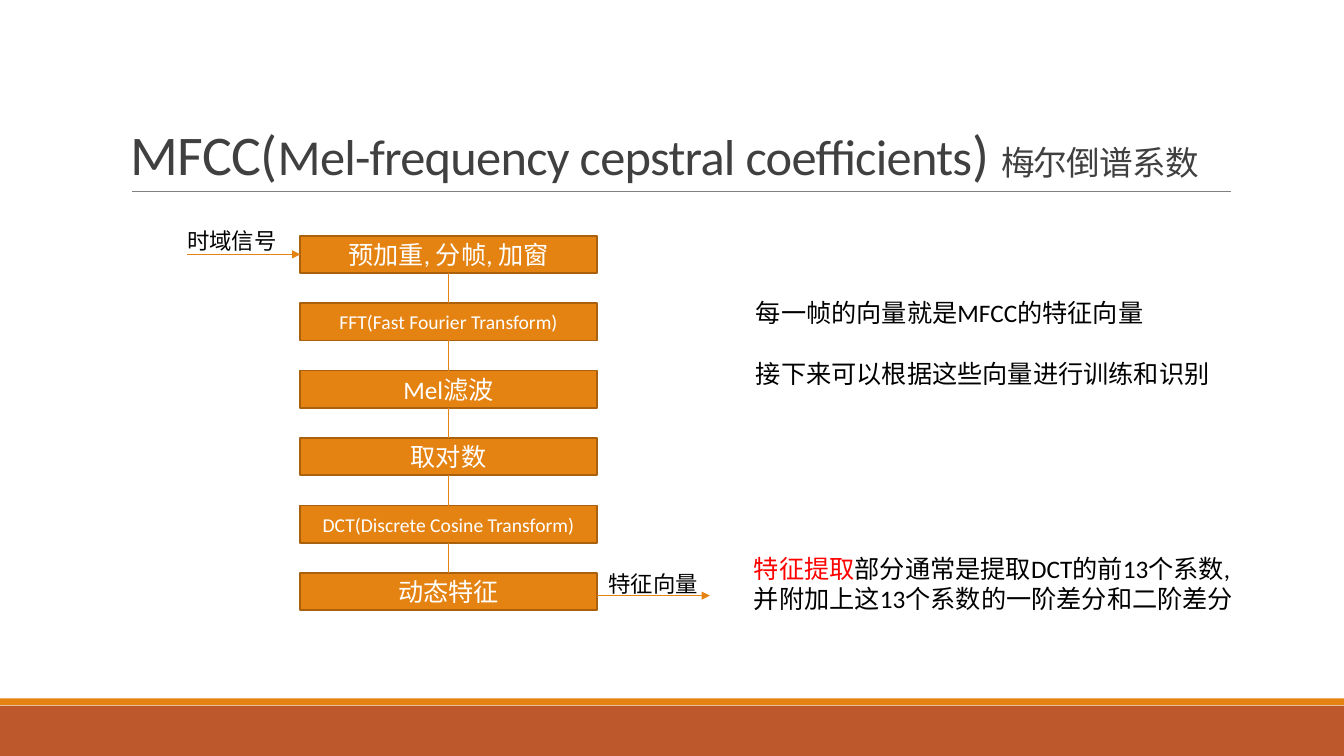
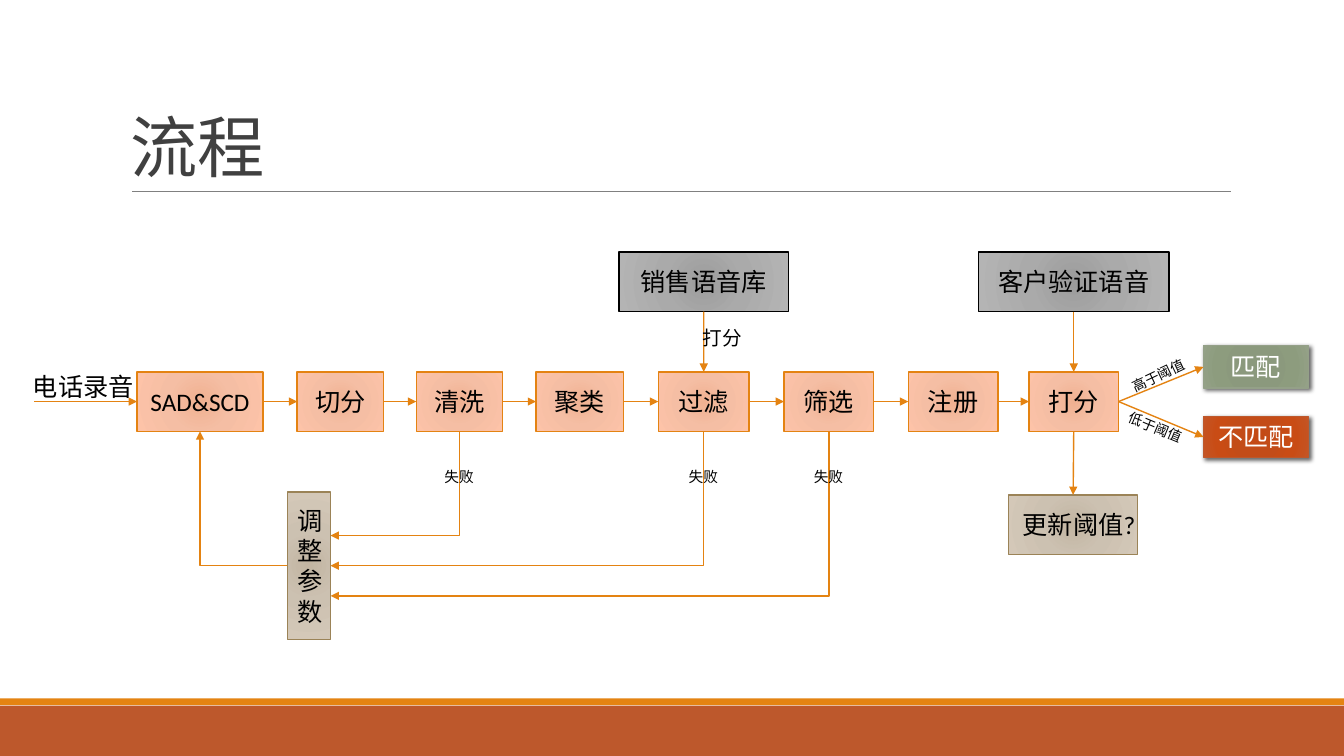
from lxml import etree
from pptx import Presentation
from pptx import util as u
from pptx.dml import color as dml
from pptx.enum import shapes, text
from pptx.oxml import ns, parse_xml

FONT = "Calibri"
ORANGE, RUST, BROWN, GREY = "E48312", "BD582C", "A9610D", "808080"
INK, BLACK, WHITE, RED = "404040", "000000", "FFFFFF", "FF0000"
# Gradient stops as (percent, colour), and the outline that goes with them
PEACH = [(0, "F0B191"), (45, "F5BEA4"), (100, "FDC3A8")], ORANGE
SILVER = [(0, "9C9C9C"), (45, "AAAAAA"), (100, "B4B4B4")], BLACK
SAND = [(0, "C2B5A2"), (45, "CCC1B1"), (100, "D4C8B8")], "9B8357"
GREEN = [(0, "8A987B"), (34, "8B997D"), (70, "8D9C7E"), (100, "94A187")], "94A088"
FLAME = [(0, "C44A15"), (34, "C34C18"), (70, "C94C15"), (100, "C45525")], RUST
TOP, LEFT, BOTTOM, RIGHT = range(4)  # connection sites of a rectangle


def paint(target, value):
    """Give a colour format its hex colour."""
    target.rgb = dml.RGBColor.from_string(value)


def cm(*lengths):
    return [u.Cm(length) for length in lengths]


def write(paragraph, words, size=18, color=BLACK, tracking=None):
    run = paragraph.add_run()
    run.text = words
    run.font.name = FONT
    run.font.size = u.Pt(size)
    paint(run.font.color, color)
    if tracking is not None:
        run.font._element.set("spc", str(tracking))


def label(slide, box, *paragraphs, wrap=False, align=None, gap=0, angle=0, **fmt):
    """Text box; each paragraph is a string or a list of (words, format)."""
    area = slide.shapes.add_textbox(*cm(*box))
    area.rotation = angle
    frame = area.text_frame
    frame.word_wrap = wrap
    frame.auto_size = text.MSO_AUTO_SIZE.SHAPE_TO_FIT_TEXT
    for i, content in enumerate(paragraphs):
        paragraph = frame.add_paragraph() if i else frame.paragraphs[0]
        paragraph.alignment = align
        if i and gap:
            paragraph.space_before = u.Pt(gap)
        runs = [(content, {})] if isinstance(content, str) else content
        for words, own in runs:
            write(paragraph, words, **{**fmt, **own})
    return frame


def block(slide, box, words="", fill=ORANGE, line=None, weight=1, **fmt):
    """Rectangle with centred text; fill is a colour or a list of stops."""
    rect = slide.shapes.add_shape(shapes.MSO_SHAPE.RECTANGLE, *cm(*box))
    rect.shadow.inherit = False
    rect.fill.solid()
    if isinstance(fill, str):
        paint(rect.fill.fore_color, fill)
    else:
        stops = "".join(f'<a:gs pos="{pos * 1000}"><a:srgbClr val="{value}"/></a:gs>'
                        for pos, value in fill)
        solid = rect.element.spPr.find(ns.qn("a:solidFill"))
        solid.getparent().replace(solid, parse_xml(
            f'<a:gradFill {ns.nsdecls("a")} rotWithShape="1"><a:gsLst>{stops}</a:gsLst>'
            '<a:path path="circle"><a:fillToRect l="100000" t="100000" r="100000"'
            ' b="100000"/></a:path></a:gradFill>'))
    if line:
        paint(rect.line.color, line)
        rect.line.width = u.Pt(weight)
    else:
        rect.line.fill.background()
    if words:
        frame = rect.text_frame
        frame.word_wrap = True
        frame.vertical_anchor = text.MSO_ANCHOR.MIDDLE
        frame.paragraphs[0].alignment = text.PP_ALIGN.CENTER
        write(frame.paragraphs[0], words, **fmt)
    return rect


def add_shadow(rect):
    effects = rect.element.spPr.find(ns.qn("a:effectLst"))
    effects.append(parse_xml(
        f'<a:outerShdw {ns.nsdecls("a")} blurRad="38100" dist="25400" dir="2700000"'
        ' rotWithShape="0"><a:srgbClr val="000000"><a:alpha val="60000"/></a:srgbClr>'
        '</a:outerShdw>'))


def connect(slide, start, end, color=ORANGE, weight=1, arrow=True,
            kind=shapes.MSO_CONNECTOR.STRAIGHT):
    """Connector; each end is a point in cm or a (rectangle, site) pair."""
    glued = [not isinstance(point[0], (int, float)) for point in (start, end)]
    points = [(0, 0) if fixed else cm(*point) for fixed, point in zip(glued, (start, end))]
    link = slide.shapes.add_connector(kind, *points[0], *points[1])
    if glued[0]:
        link.begin_connect(*start)
    if glued[1]:
        link.end_connect(*end)
    paint(link.line.color, color)
    link.line.width = u.Pt(weight)
    props = link.element.spPr
    if arrow:
        etree.SubElement(props.find(ns.qn("a:ln")), ns.qn("a:tailEnd"), type="triangle")
    etree.SubElement(props, ns.qn("a:effectLst"))
    return link


def elbow(slide, start, end, angle):
    """Arrow with one right-angled bend, turned by 90 or 180 degrees."""
    (x1, y1), (x2, y2) = start, end
    half_w, half_h = abs(x2 - x1) / 2, abs(y2 - y1) / 2
    if angle == 90:
        half_w, half_h = half_h, half_w
    mid_x, mid_y = (x1 + x2) / 2, (y1 + y2) / 2
    link = connect(slide, (mid_x - half_w, mid_y - half_h),
                   (mid_x + half_w, mid_y + half_h), kind=shapes.MSO_CONNECTOR.ELBOW)
    props = link.element.spPr
    props.find(ns.qn("a:prstGeom")).set("prst", "bentConnector2")
    props.find(ns.qn("a:xfrm")).set("rot", str(angle * 60000))


def center_x(rect):
    return rect.left.cm + rect.width.cm / 2


def base_slide(prs, title):
    """Blank slide with the shared bands, rule and title."""
    slide = prs.slides.add_slide(prs.slide_layouts[6])
    block(slide, (0, 17.78, 33.87, 1.27), fill=RUST)
    block(slide, (0, 17.6, 33.87, 0.17))
    connect(slide, (3.33, 4.83), (31.01, 4.83), color=GREY, weight=0.5, arrow=False)
    frame = label(slide, (3.05, 0.79, 27.94, 4.04), title, wrap=True,
                  size=48, color=INK, tracking=-50)
    frame.auto_size = text.MSO_AUTO_SIZE.NONE
    frame.vertical_anchor = text.MSO_ANCHOR.BOTTOM
    frame.paragraphs[0].line_spacing = 0.85
    return slide


def mfcc_stages(slide, x, y, w):
    """Column of processing stages with signal in and vector out."""
    height, pitch = 0.94, 1.7
    stages = [("预加重, 分帧, 加窗", 18), ("FFT(Fast Fourier Transform)", 14),
              ("Mel滤波", 18), ("取对数", 18),
              ("DCT(Discrete Cosine Transform)", 14), ("动态特征", 18)]
    column = [block(slide, (x, y + i * pitch, w, height), words, line=BROWN,
                    weight=1.25, size=size, color=WHITE)
              for i, (words, size) in enumerate(stages)]
    for upper, lower in zip(column, column[1:]):
        connect(slide, (upper, BOTTOM), (lower, TOP), arrow=False)
    # Input and output
    last = y + 5 * pitch
    connect(slide, (x - 2.85, y + height / 2), (column[0], LEFT))
    label(slide, (x - 3.1, y - 0.35, 2.79, 0.94), "时域信号", size=16)
    connect(slide, (x + w, last + 0.57), (x + w + 2.85, last + 0.57))
    label(slide, (x + w + 0.05, last - 0.19, 2.79, 0.94), "特征向量", size=16)


def mfcc_notes(slide, x, y):
    label(slide, (x + 0.05, y, 12.07, 2.57), "每一帧的向量就是MFCC的特征向量",
          "接下来可以根据这些向量进行训练和识别", gap=22)
    label(slide, (x, y + 6.45, 12.65, 1.8),
          [("特征提取", {"color": RED}), ("部分通常是提取DCT的前13个系数,", {})],
          "并附加上这13个系数的一阶差分和二阶差分", wrap=True)


def step_chain(slide, x, y, h):
    """Row of steps joined by arrows; returns the steps in order."""
    steps = [("SAD&SCD", 0, 3.18), ("切分", 4.04, 2.18), ("清洗", 7.04, 2.18),
             ("聚类", 10.06, 2.21), ("过滤", 13.14, 2.29), ("筛选", 16.31, 2.26),
             ("注册", 19.44, 2.26), ("打分", 22.48, 2.26)]
    chain = [block(slide, (x + dx, y, w, h), words, *PEACH) for words, dx, w in steps]
    connect(slide, (x - 2.59, y + h / 2), (chain[0], LEFT))
    label(slide, (x - 2.87, y - 0.13, 3.07, 1.02), "电话录音", wrap=True)
    for before, after in zip(chain, chain[1:]):
        connect(slide, (before, RIGHT), (after, LEFT))
    return chain


def voice_sources(slide, y, h, filtering, scoring):
    """Voice collections centred above the steps they feed."""
    for words, w, step in [("销售语音库", 4.27, filtering), ("客户验证语音", 4.8, scoring)]:
        source = block(slide, (center_x(step) - w / 2, y, w, h), words, *SILVER)
        connect(slide, (source, BOTTOM), (step, TOP))
    label(slide, (center_x(filtering) - 0.28, y + 1.73, 1.5, 0.86), "打分",
          wrap=True, size=14)


def score_results(slide, x, y, w, scoring):
    """Two outcomes of the scoring, and the threshold update below it."""
    outcomes = [("匹配", 0, 1.07, GREEN, "高于阈值", -2.09, 0.41, 334.7),
                ("不匹配", 1.78, 1.04, FLAME, "低于阈值", -2.16, 1.73, 22.5)]
    for words, dy, h, style, condition, label_x, label_y, angle in outcomes:
        outcome = block(slide, (x, y + dy, w, h), words, *style, color=WHITE)
        add_shadow(outcome)
        connect(slide, (scoring, RIGHT), (outcome, LEFT))
        label(slide, (x + label_x, y + label_y, 1.93, 0.69), condition,
              angle=angle, size=10)
    update = block(slide, (center_x(scoring) - 1.64, y + 3.76, 3.25, 1.5),
                   "更新阈值?", *SAND)
    connect(slide, (scoring, BOTTOM), (update, TOP))


def retry_loop(slide, x, y, w, h, first, failing):
    """Failed steps lead to the tuning box, which leads back to the first step."""
    block(slide, (x, y, w, h), "调整参数", *SAND)
    middle = y + h / 2
    bottom = first.top.cm + first.height.cm
    for i, step in enumerate(failing):
        step_x = center_x(step)
        elbow(slide, (step_x, bottom), (x + w, middle + (i - 1) * 0.76), 90)
        label(slide, (step_x - 0.66, bottom + 0.79, 1.3, 0.74), "失败",
              align=text.PP_ALIGN.CENTER, size=10.5)
    elbow(slide, (x, middle), (center_x(first), bottom), 180)


def main():
    prs = Presentation()
    prs.slide_width, prs.slide_height = cm(33.87, 19.05)

    mfcc = base_slide(prs, [
        ("MFCC(", {"size": 40}), ("Mel-frequency cepstral coefficients", {"size": 36}),
        (") ", {"size": 40}), ("梅尔倒谱系数", {"size": 24})])
    mfcc_stages(mfcc, 7.57, 5.94, 7.47)
    mfcc_notes(mfcc, 18.75, 7.37)

    flow = base_slide(prs, "流程")
    chain = step_chain(flow, 3.45, 9.37, 1.5)
    first, cleaning, filtering, screening, scoring = (chain[i] for i in (0, 2, 4, 5, 7))
    voice_sources(flow, 6.35, 1.5, filtering, scoring)
    score_results(flow, 30.33, 8.71, 2.64, scoring)
    retry_loop(flow, 7.24, 12.4, 1.09, 3.71, first, [cleaning, filtering, screening])

    prs.save("out.pptx")


if __name__ == "__main__":
    main()
